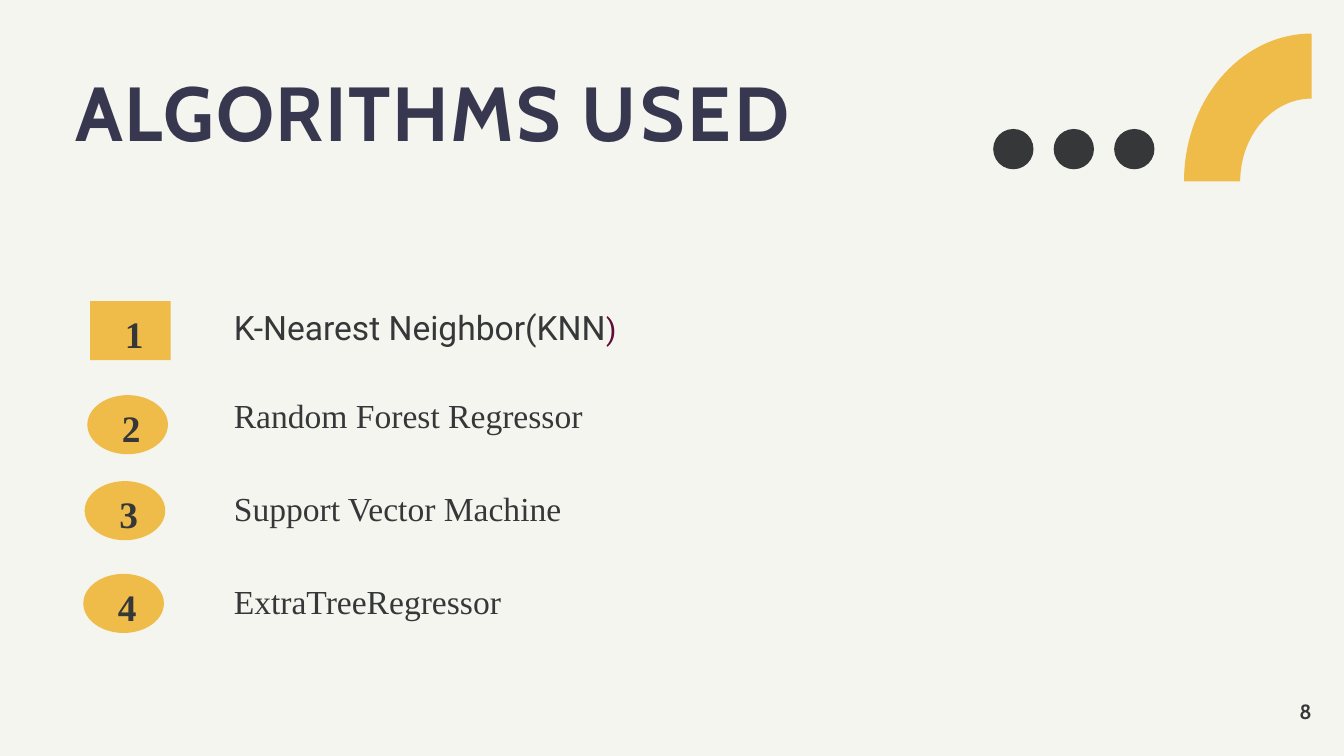
import math

import pptx
import pptx.dml.color
import pptx.enum.shapes
import pptx.enum.text
import pptx.util

Inches = pptx.util.Inches
Pt = pptx.util.Pt
SHAPE = pptx.enum.shapes.MSO_SHAPE
ANCHOR = pptx.enum.text.MSO_ANCHOR
ALIGN = pptx.enum.text.PP_ALIGN

CREAM, AMBER, CHARCOAL = "F5F5EF", "EFBC49", "363739"
NAVY, MAROON = "373850", "610B38"
SERIF = "Times New Roman"


def rgb(value):
    return pptx.dml.color.RGBColor.from_string(value)


def paint(shape, color):
    shape.shadow.inherit = False
    shape.fill.solid()
    shape.fill.fore_color.rgb = rgb(color)
    shape.line.fill.background()


def set_font(font, name, size, color, bold=False):
    font.name = name
    font.size = Pt(size)
    font.bold = bold
    font.color.rgb = rgb(color)


def prepare_frame(shape, anchor=ANCHOR.TOP, left_inset=0):
    frame = shape.text_frame
    frame.word_wrap = True
    frame.vertical_anchor = anchor
    frame.margin_left = Inches(left_inset)
    frame.margin_top = frame.margin_right = frame.margin_bottom = 0
    return frame


def add_title(slide, left, top, width, height):
    title = slide.shapes.title
    title.left, title.top = Inches(left), Inches(top)
    title.width, title.height = Inches(width), Inches(height)
    paragraph = prepare_frame(title).paragraphs[0]
    paragraph.alignment = ALIGN.LEFT
    paragraph.line_spacing = 0.9
    for text, spacing in (("ALGORITHMS ", 90), ("USED", 180)):
        run = paragraph.add_run()
        run.text = text
        run._r.get_or_add_rPr().set("spc", str(spacing))
    set_font(paragraph.font, "Cabin", 41, NAVY, bold=True)


def add_algorithm_list(slide, left, top, width, height):
    box = slide.shapes.add_textbox(Inches(left), Inches(top), Inches(width), Inches(height))
    frame = prepare_frame(box, left_inset=0.14)
    first = frame.paragraphs[0]
    first.line_spacing = 1.15
    for text, size, color in (("K-Nearest Neighbor(KNN", 18, CHARCOAL), (")", 16, MAROON)):
        run = first.add_run()
        run.text = text
        set_font(run.font, "Roboto", size, color)
    for text, gap in (("Random Forest Regressor", 22),
                      ("Support Vector Machine", 25),
                      ("ExtraTreeRegressor", 25)):
        paragraph = frame.add_paragraph()
        paragraph.text = text
        paragraph.line_spacing = 1.15
        paragraph.space_before = Pt(gap)
        set_font(paragraph.font, SERIF, 18, CHARCOAL)


def add_badge(slide, number, kind, left, top):
    badge = slide.shapes.add_shape(kind, Inches(left), Inches(top), Inches(0.6), Inches(0.44))
    paint(badge, AMBER)
    # An oval's text area is already inset by the ellipse.
    left_inset = 0.17 if kind == SHAPE.OVAL else 0.26
    frame = prepare_frame(badge, ANCHOR.MIDDLE, left_inset)
    frame.word_wrap = False
    paragraph = frame.paragraphs[0]
    paragraph.text = str(number)
    paragraph.alignment = ALIGN.LEFT
    paragraph.line_spacing = 1.15
    set_font(paragraph.font, SERIF, 20, CHARCOAL, bold=True)


def add_quarter_ring(slide, left, top, width, height, inner=0.56, steps=40):
    """Upper-left quarter of an elliptical ring, centred on the box's lower-right corner."""
    def arc(scale):
        angles = [math.pi / 2 * step / steps for step in range(steps + 1)]
        return [(Inches(left + width * (1 - scale * math.cos(angle))),
                 Inches(top + height * (1 - scale * math.sin(angle)))) for angle in angles]

    points = arc(1) + arc(inner)[::-1]
    builder = slide.shapes.build_freeform(*points[0])
    builder.add_line_segments(points[1:], close=True)
    paint(builder.convert_to_shape(), AMBER)


def add_dots(slide, left, top, diameter, pitch, count=3):
    for index in range(count):
        dot = slide.shapes.add_shape(SHAPE.OVAL, Inches(left + index * pitch), Inches(top),
                                     Inches(diameter), Inches(diameter))
        paint(dot, CHARCOAL)


def add_page_number(slide, text, left, top, width, height):
    box = slide.shapes.add_textbox(Inches(left), Inches(top), Inches(width), Inches(height))
    paragraph = prepare_frame(box, ANCHOR.MIDDLE).paragraphs[0]
    paragraph.text = text
    paragraph.alignment = ALIGN.RIGHT
    set_font(paragraph.font, "Cabin", 11, CHARCOAL, bold=True)


def main():
    presentation = pptx.Presentation()
    presentation.slide_width = Inches(10)
    presentation.slide_height = Inches(10 * 9 / 16)
    slide = presentation.slides.add_slide(presentation.slide_layouts.get_by_name("Title Only"))
    slide.background.fill.solid()
    slide.background.fill.fore_color.rgb = rgb(CREAM)

    add_title(slide, 0.56, 0.56, 7.09, 0.79)
    add_algorithm_list(slide, 1.6, 2.24, 3.4, 2.97)
    add_page_number(slide, "8", 9.16, 5.19, 0.6, 0.2)
    badges = ((SHAPE.RECTANGLE, 0.67, 2.24), (SHAPE.OVAL, 0.65, 2.94),
              (SHAPE.OVAL, 0.63, 3.58), (SHAPE.OVAL, 0.62, 4.27))
    for number, (kind, left, top) in enumerate(badges, start=1):
        add_badge(slide, number, kind, left, top)
    add_quarter_ring(slide, 8.81, 0.25, 0.95, 1.1)
    add_dots(slide, 7.39, 0.96, 0.3, 0.45)
    presentation.save("out.pptx")


if __name__ == "__main__":
    main()
